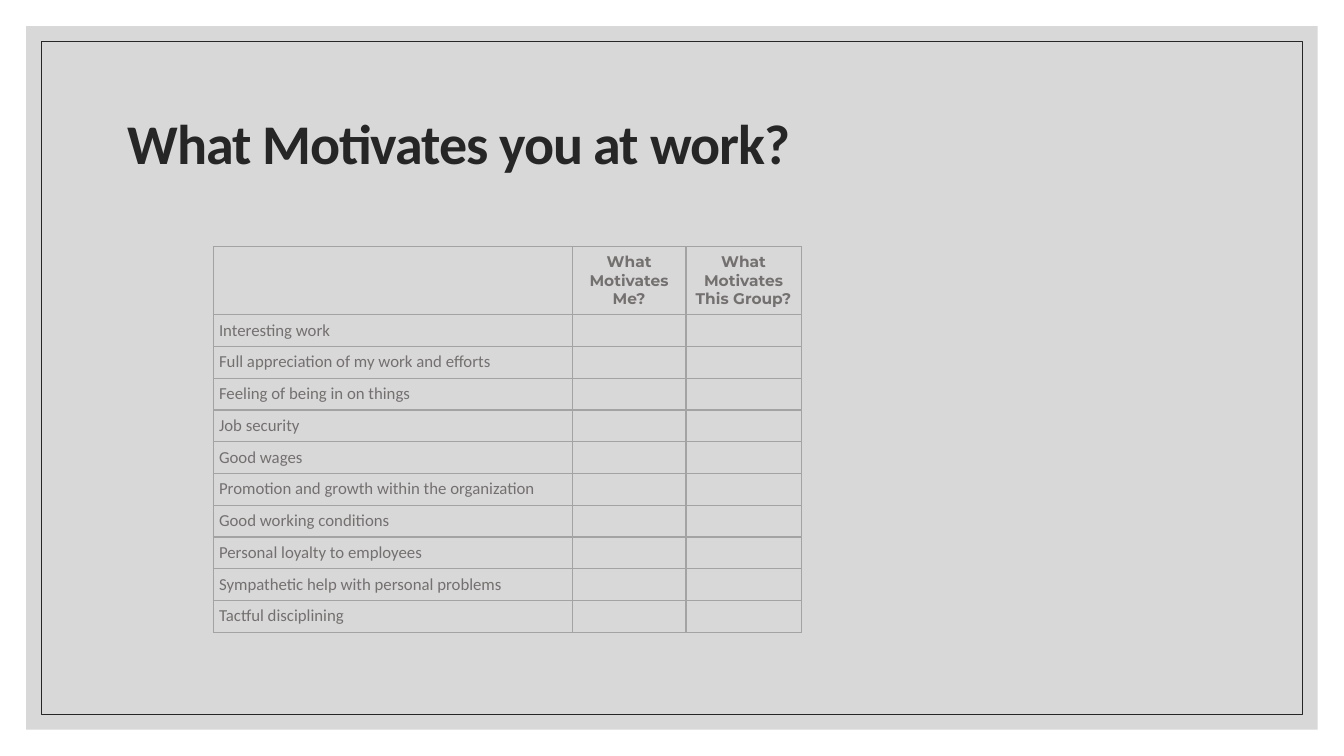
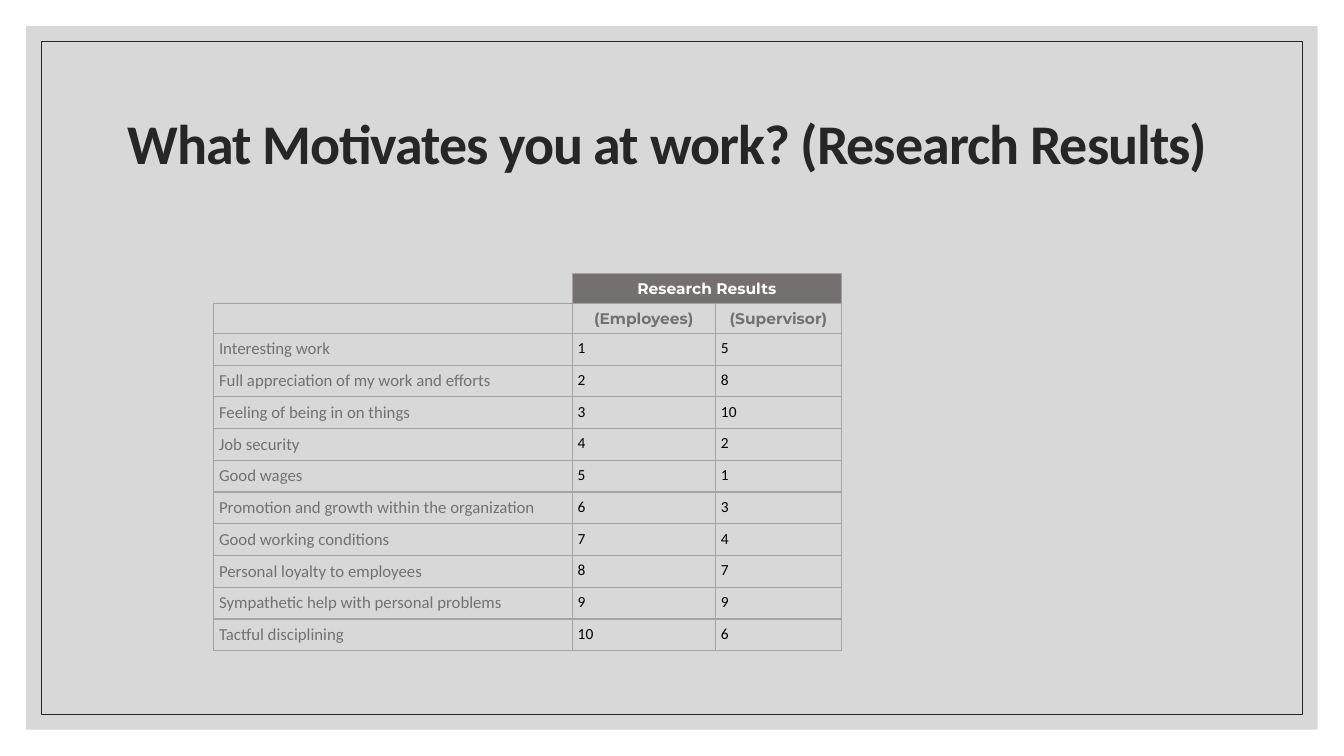
from lxml.etree import SubElement
from pptx import Presentation
from pptx.dml.color import RGBColor
from pptx.enum.shapes import MSO_SHAPE
from pptx.enum.text import MSO_ANCHOR, PP_ALIGN
from pptx.oxml.ns import qn
from pptx.util import Cm, Pt

INK = RGBColor(0x26, 0x26, 0x26)
PANEL = RGBColor(0xBF, 0xBF, 0xBF)
GRAY = RGBColor(0x75, 0x70, 0x70)
RULE = RGBColor(0xA3, 0xA3, 0xA3)
BLACK = RGBColor(0, 0, 0)
WHITE = RGBColor(0xFF, 0xFF, 0xFF)

# Text styles: font values and colour
TITLE = {"name": "Calibri", "size": Pt(40), "bold": True}, INK
HEAD = {"name": "Montserrat", "size": Pt(11), "bold": True}, GRAY
BAND = HEAD[0], WHITE
LABEL = {"name": "Calibri", "size": Pt(12), "bold": False}, GRAY
SCORE = {"name": "Calibri", "size": Pt(11), "bold": False}, BLACK

WIDE, HIGH = 33.87, 19.05
LEFT, FIRST, ROW, LINE = 5.38, 9.04, 0.8, 0.75
PAD = {side: Cm(0.14) for side in
       ("margin_left", "margin_right", "margin_top", "margin_bottom")}

ITEMS = [
    "Interesting work",
    "Full appreciation of my work and efforts",
    "Feeling of being in on things",
    "Job security",
    "Good wages",
    "Promotion and growth within the organization",
    "Good working conditions",
    "Personal loyalty to employees",
    "Sympathetic help with personal problems",
    "Tactful disciplining",
]
RANKS = [5, 8, 10, 2, 1, 3, 4, 7, 9, 6]


def apply(target, values):
    for name, value in values.items():
        setattr(target, name, value)


def write(frame, text, style, align=PP_ALIGN.LEFT):
    """Fill a text frame, one paragraph for each line of text."""
    values, color = style
    for i, line in enumerate(text.split("\n")):
        para = frame.add_paragraph() if i else frame.paragraphs[0]
        para.alignment = align
        if line:
            run = para.add_run()
            run.text = line
            apply(run.font, values)
            run.font.color.rgb = color
        else:
            # Keeps an empty cell as low as its row
            SubElement(para._p, qn("a:endParaRPr"),
                       sz=str(int(values["size"].pt * 100)))


def border(cell):
    props = cell._tc.get_or_add_tcPr()
    for side in ("lnL", "lnR", "lnT", "lnB"):
        edge = SubElement(props, qn(f"a:{side}"), w=str(Pt(1)))
        fill = SubElement(edge, qn("a:solidFill"))
        SubElement(fill, qn("a:srgbClr"), val=str(RULE))


def add_grid(slide, left, top, widths, heights, cells, fill=None):
    """Draw rows of (text, style, align) cells."""
    table = slide.shapes.add_table(
        len(heights), len(widths), Cm(left), Cm(top),
        Cm(sum(widths)), Cm(sum(heights))).table
    apply(table, {"first_row": False, "horz_banding": False})
    for col, width in zip(table.columns, widths):
        col.width = Cm(width)
    for row, height, parts in zip(table.rows, heights, cells):
        row.height = Cm(height)
        for cell, part in zip(row.cells, parts):
            apply(cell, PAD)
            border(cell)
            if fill is None:
                cell.fill.background()
            else:
                cell.fill.solid()
                cell.fill.fore_color.rgb = fill
            write(cell.text_frame, *part)


def add_frame(slide):
    """Grey panel with a thin rule inside it."""
    panel, rule = [
        slide.shapes.add_shape(MSO_SHAPE.RECTANGLE, Cm(gap), Cm(gap),
                               Cm(WIDE - 2 * gap), Cm(HIGH - 2 * gap))
        for gap in (0.66, 1.04)]
    for shape in (panel, rule):
        shape.shadow.inherit = False
    panel.fill.solid()
    panel.fill.fore_color.rgb = PANEL
    tint = panel.fill._xPr.find(qn("a:solidFill"))[0]
    SubElement(tint, qn("a:alpha"), val="60000")
    panel.line.fill.background()
    rule.fill.background()
    rule.line.color.rgb = INK
    rule.line.width = Pt(0.5)


def add_title(slide, text):
    box = slide.shapes.add_textbox(Cm(2.97), Cm(1.78), Cm(27.94), Cm(3.81))
    frame = box.text_frame
    apply(frame, {"word_wrap": True, "vertical_anchor": MSO_ANCHOR.MIDDLE})
    write(frame, text, TITLE)
    para = frame.paragraphs[0]
    para.line_spacing = 0.9
    para.runs[0].font._element.set("spc", "-70")


def add_base(deck, title):
    slide = deck.slides.add_slide(deck.slide_layouts[6])
    add_frame(slide)
    add_title(slide, title)
    return slide


def add_survey(slide, top, widths, height, heads, scores):
    """Ten items, each with two score cells, under a head row."""
    cells = [[(text, HEAD, PP_ALIGN.CENTER) for text in ("", *heads)]]
    for item, pair in zip(ITEMS, scores):
        cells.append([(item, LABEL), *((str(n), SCORE) for n in pair)])
    heights = [height] + [ROW] * len(ITEMS)
    add_grid(slide, LEFT, top, [FIRST, *widths], heights, cells)


def main():
    deck = Presentation()
    apply(deck, {"slide_width": Cm(WIDE), "slide_height": Cm(HIGH)})
    title = "What Motivates you at work?"

    # Blank survey
    slide = add_base(deck, title)
    heads = "What\nMotivates Me?", "What\nMotivates\nThis Group?"
    add_survey(slide, 6.22, (2.87, 2.9), 1.71, heads,
               [("", "")] * len(ITEMS))

    # Survey with results and a band above its score columns
    slide = add_base(deck, f"{title} (Research Results)")
    top, widths = 7.65, (3.61, 3.18)
    add_survey(slide, top, widths, LINE, ("(Employees)", "(Supervisor)"),
               enumerate(RANKS, 1))
    add_grid(slide, LEFT + FIRST, top - LINE, [sum(widths)], [LINE],
             [[("Research Results", BAND, PP_ALIGN.CENTER)]], GRAY)

    deck.save("out.pptx")


if __name__ == "__main__":
    main()
